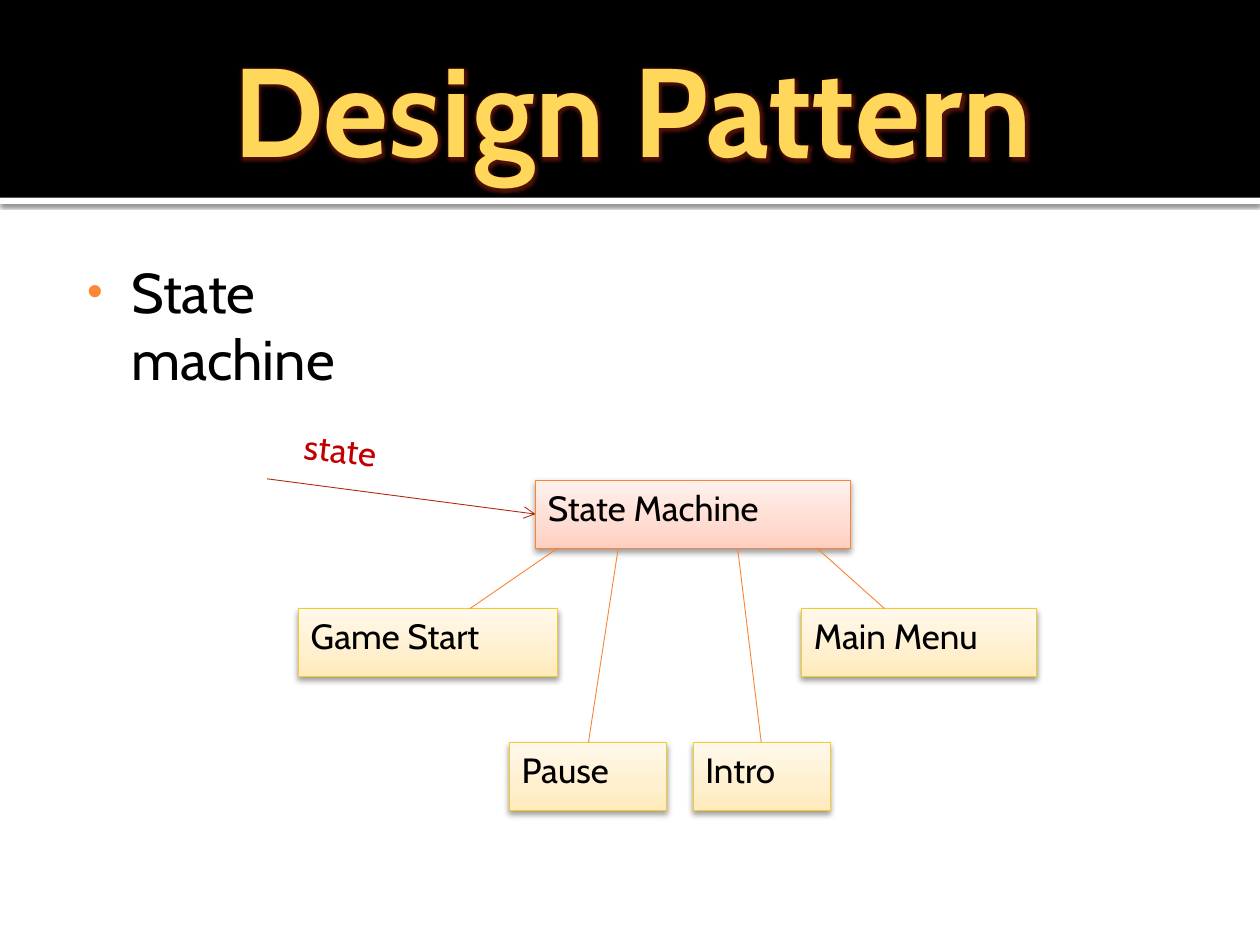
from dataclasses import dataclass

from lxml.etree import SubElement
from pptx import Presentation
from pptx.dml.color import RGBColor as Color
from pptx.enum.shapes import MSO_CONNECTOR as Connector, MSO_SHAPE as Shape
from pptx.enum.text import MSO_ANCHOR as Anchor, MSO_AUTO_SIZE as AutoSize, PP_ALIGN as Align
from pptx.oxml import parse_xml
from pptx.oxml.ns import nsdecls, qn
from pptx.util import Pt


@dataclass(frozen=True)
class Theme:
    """Colours and type sizes of the slide."""
    font: str = "Cabin"
    black: str = "000000"
    white: str = "FFFFFF"
    title: str = "FFD75B"
    glow: str = "B32812"
    bullet: str = "FE8637"
    label: str = "C00000"
    arrow: str = "B32812"
    link: str = "FD8231"
    state_line: str = "F4CB27"
    machine_fill: tuple = ("FFCEBF", "FFDCD2", "FFF2EE")
    state_fill: tuple = ("FFEAB9", "FFEFCE", "FFF9EC")
    title_size: int = 72
    body_size: int = 32
    box_size: int = 20


THEME = Theme()
MACHINE_BOX = (306, 274.3, 180, 38.9)
UPPER_ROW, LOWER_ROW = 347.8, 424.1
STATES = [
    ("Intro", 396, LOWER_ROW, 78.5, 421.5, 435),
    ("Pause", 291, LOWER_ROW, 90, 353.3, 336.3),
    ("Game Start", 170.5, UPPER_ROW, 148.3, 318.8, 268.5),
    ("Main Menu", 458, UPPER_ROW, 134.6, 466.8, 505.5),
]


def set_values(target, values):
    """Set the attributes of an object from a dict."""
    for name, value in values.items():
        setattr(target, name, value)


def write(shape, text, size, color, frame_values=None, align=Align.LEFT, bold=False):
    """Write one formatted paragraph into a shape."""
    frame = shape.text_frame
    set_values(frame, {"word_wrap": True, "vertical_anchor": Anchor.TOP,
                       "auto_size": AutoSize.NONE, **(frame_values or {})})
    paragraph = frame.paragraphs[0]
    paragraph.alignment = align
    run = paragraph.add_run()
    run.text = text
    set_values(run.font, {"name": THEME.font, "size": Pt(size), "bold": bold})
    run.font.color.rgb = Color.from_string(color)
    return paragraph, run


def add_effect(properties, kind, color, alpha, **values):
    """Put a shadow or glow into shape or run properties."""
    effects = properties.find(qn("a:effectLst"))
    if effects is None:
        effects = parse_xml(f"<a:effectLst {nsdecls('a')}/>")
        fill = properties.find(qn("a:solidFill"))
        if kind == "glow" and fill is not None:
            fill.addnext(effects)
        else:
            properties.append(effects)
    effect = SubElement(effects, qn(f"a:{kind}"), {k: str(v) for k, v in values.items()})
    shade = SubElement(effect, qn("a:srgbClr"), val=color)
    SubElement(shade, qn("a:alpha"), val=str(alpha * 1000))


def add_shadow(shape, alpha, blur, distance):
    """Give a shape a shadow that falls straight down."""
    add_effect(shape.element.spPr, "outerShdw", THEME.black, alpha, blurRad=Pt(blur),
               dist=Pt(distance), dir=5400000, rotWithShape=0)


def add_rectangle(slide, bounds):
    """Add a rectangle without its default shadow."""
    shape = slide.shapes.add_shape(Shape.RECTANGLE, *map(Pt, bounds))
    shape.shadow.inherit = False
    return shape


def add_bar(slide, bounds, color):
    """Add a plain band across the slide."""
    bar = add_rectangle(slide, bounds)
    bar.fill.solid()
    bar.fill.fore_color.rgb = Color.from_string(color)
    bar.line.fill.background()
    return bar


def add_box(slide, text, bounds, colors, line_color):
    """Add a labelled box with a vertical gradient and a shadow."""
    box = add_rectangle(slide, bounds)
    box.line.color.rgb = Color.from_string(line_color)
    box.line.width = Pt(0.5)
    stops = "".join(f'<a:gs pos="{position}"><a:srgbClr val="{color}"/></a:gs>'
                    for position, color in zip((0, 35000, 100000), colors))
    gradient = parse_xml(f"<a:gradFill {nsdecls('a')} rotWithShape=\"1\"><a:gsLst>{stops}"
                         '</a:gsLst><a:lin ang="16200000" scaled="1"/></a:gradFill>')
    box.element.spPr.find(qn("a:prstGeom")).addnext(gradient)
    add_shadow(box, 38, 3.5, 2)
    write(box, text, THEME.box_size, THEME.black)


def add_line(slide, start, end, color, arrow=False):
    """Add a thin straight line, with an arrowhead if wanted."""
    line = slide.shapes.add_connector(Connector.STRAIGHT, *map(Pt, start + end))
    line.line.color.rgb = Color.from_string(color)
    line.line.width = Pt(0.5)
    if arrow:
        SubElement(line.line._get_or_add_ln(), qn("a:tailEnd"), type="arrow")
    SubElement(line.element.spPr, qn("a:effectLst"))


def add_text(slide, text, bounds, size, color, frame_values=None):
    """Add a text box and return it with its paragraph."""
    box = slide.shapes.add_textbox(*map(Pt, bounds))
    paragraph, _ = write(box, text, size, color, frame_values)
    return box, paragraph


def add_bullet(paragraph):
    """Give a paragraph a coloured bullet and a hanging indent."""
    properties = paragraph._p.get_or_add_pPr()
    properties.set("marL", str(Pt(34.6)))
    properties.set("indent", str(Pt(-25.2)))
    SubElement(SubElement(properties, qn("a:buClr")), qn("a:srgbClr"), val=THEME.bullet)
    SubElement(properties, qn("a:buSzPct"), val="80000")
    SubElement(properties, qn("a:buFont"), typeface="Arial")
    SubElement(properties, qn("a:buChar"), char="•")


def format_title(slide, text):
    """Place the title placeholder in front of the header and format it."""
    title = slide.shapes.title
    set_values(title, {"left": Pt(36), "top": Pt(12.2), "width": Pt(648), "height": Pt(98.6)})
    frame_values = {"vertical_anchor": Anchor.MIDDLE, "margin_left": Pt(7.2),
                    "margin_right": Pt(3.6), "margin_top": Pt(3.6), "margin_bottom": Pt(3.6)}
    _, run = write(title, text, THEME.title_size, THEME.title, frame_values, Align.CENTER, True)
    add_effect(run.font._element, "glow", THEME.glow, 45, rad=Pt(4))
    title.element.getparent().append(title.element)


def add_diagram(slide):
    """Draw the state machine with its states and links."""
    add_line(slide, (152.6, 273.6), (306, 293.8), THEME.arrow, arrow=True)
    add_box(slide, "State Machine", MACHINE_BOX, THEME.machine_fill, THEME.link)
    _, top, _, height = MACHINE_BOX
    for name, left, row, width, start, end in STATES:
        add_box(slide, name, (left, row, width, height), THEME.state_fill, THEME.state_line)
        add_line(slide, (start, top + height), (end, row), THEME.link)
    label, _ = add_text(slide, "state", (166.3, 241.9, 70.6, height), THEME.box_size,
                        THEME.label, {"word_wrap": False})
    label.rotation = 6


def main():
    """Build the slide and save it."""
    presentation = Presentation()
    set_values(presentation, {"slide_width": Pt(720), "slide_height": Pt(540)})
    slide = presentation.slides.add_slide(presentation.slide_layouts[5])
    add_shadow(add_bar(slide, (0, 113, 720, 3.6), THEME.white), 60, 2.5, 0.8)
    add_bar(slide, (0, 0, 720, 113), THEME.black)
    format_title(slide, "Design Pattern")
    _, paragraph = add_text(slide, "State machine", (36, 139.7, 239, 215.3), THEME.body_size,
                            THEME.black, {"margin_left": Pt(4.3), "margin_right": Pt(21.6),
                                          "margin_top": Pt(7.2)})
    add_bullet(paragraph)
    add_diagram(slide)
    presentation.save("out.pptx")


main()
